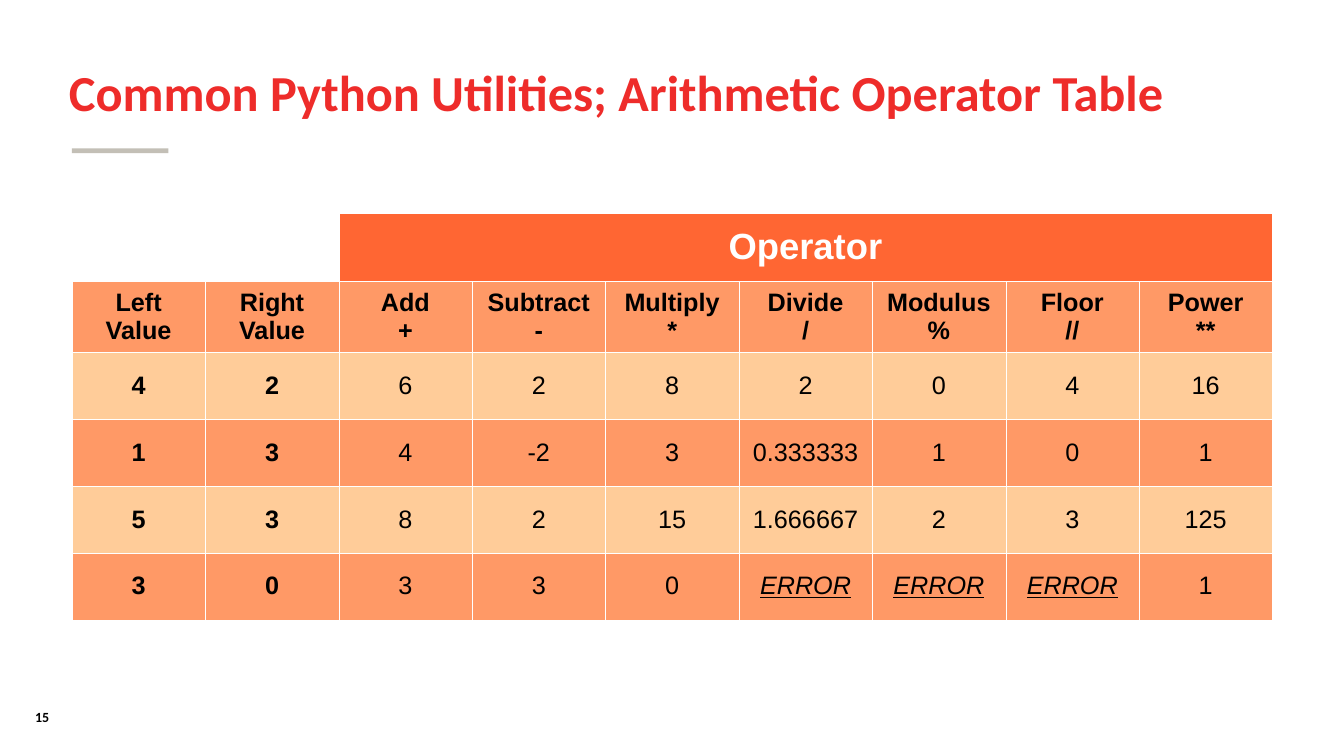
from lxml import etree
from pptx import Presentation
from pptx.dml.color import RGBColor
from pptx.enum.shapes import MSO_SHAPE
from pptx.enum.text import MSO_ANCHOR, PP_ALIGN
from pptx.oxml.ns import qn
from pptx.util import Pt

RECTANGLE = MSO_SHAPE.RECTANGLE
MIDDLE = MSO_ANCHOR.MIDDLE
TOP = MSO_ANCHOR.TOP
CENTER = PP_ALIGN.CENTER

WHITE, BLACK, RED, GREY = "FFFFFF", "000000", "EE2C2A", "C3BFB6"
HEADER, DARK_BAND, LIGHT_BAND = "FF6633", "FF9966", "FFCC99"

COLUMN_HEADS = ["Left\nValue", "Right\nValue", "Add\n+", "Subtract\n-", "Multiply\n*",
                "Divide\n/", "Modulus\n%", "Floor\n//", "Power\n**"]
RESULTS = [
    ["4", "2", "6", "2", "8", "2", "0", "4", "16"],
    ["1", "3", "4", "-2", "3", "0.333333", "1", "0", "1"],
    ["5", "3", "8", "2", "15", "1.666667", "2", "3", "125"],
    ["3", "0", "3", "3", "0", "ERROR", "ERROR", "ERROR", "1"],
]
OPERAND_COLUMNS = 2
HEADER_HEIGHT, ROW_HEIGHT = 49, 47.8
TABLE_WIDTH = 857.5


def color(value):
    return RGBColor.from_string(value)


def write(para, text, fill, **formats):
    """Put text in the paragraph; a newline becomes a line break."""
    para.text = text
    for span in para.runs:
        span.font.color.rgb = color(fill)
        for name, value in formats.items():
            setattr(span.font, name, value)


def add_text(page, frame, text, fill, size, anchor):
    box = page.shapes.add_textbox(*map(Pt, frame))
    box.text_frame.word_wrap = True
    box.text_frame.vertical_anchor = anchor
    para = box.text_frame.paragraphs[0]
    write(para, text, fill, name="Calibri", size=Pt(size), bold=True)
    return para


def add_bar(page, frame, fill):
    bar = page.shapes.add_shape(RECTANGLE, *map(Pt, frame))
    bar.shadow.inherit = False
    bar.fill.solid()
    bar.fill.fore_color.rgb = color(fill)
    bar.line.fill.background()


def paint_cell(cell, fill):
    """Give the cell thin white borders and a solid fill."""
    properties = cell._tc.get_or_add_tcPr()
    for side in ("a:lnL", "a:lnR", "a:lnT", "a:lnB"):
        line = etree.SubElement(properties, qn(side), w=str(Pt(0.06)))
        solid = etree.SubElement(line, qn("a:solidFill"))
        etree.SubElement(solid, qn("a:srgbClr"), val=WHITE)
    cell.fill.solid()
    cell.fill.fore_color.rgb = color(fill)


def fill_cell(cell, text, fill, size=18, **formats):
    cell.vertical_anchor = MIDDLE
    para = cell.text_frame.paragraphs[0]
    para.alignment = CENTER
    write(para, text, fill, name="Arial", size=Pt(size), **formats)


def add_operator_table(page, left, top):
    body = [COLUMN_HEADS] + RESULTS
    columns = len(COLUMN_HEADS)
    height = HEADER_HEIGHT + ROW_HEIGHT * len(body)
    table = page.shapes.add_table(len(body) + 1, columns, Pt(left), Pt(top),
                                  Pt(TABLE_WIDTH), Pt(height)).table
    table.first_row = table.horz_banding = False
    for column in table.columns:
        column.width = Pt(TABLE_WIDTH / columns)
    for index, row in enumerate(table.rows):
        row.height = Pt(ROW_HEIGHT if index else HEADER_HEIGHT)

    for column in range(columns):
        paint_cell(table.cell(0, column), WHITE if column < OPERAND_COLUMNS else HEADER)
    operator = table.cell(0, OPERAND_COLUMNS)
    operator.merge(table.cell(0, columns - 1))
    fill_cell(operator, "Operator", WHITE, size=26, bold=True)

    for index, values in enumerate(body):
        for column, value in enumerate(values):
            cell = table.cell(index + 1, column)
            paint_cell(cell, LIGHT_BAND if index % 2 else DARK_BAND)
            error = value == "ERROR"
            fill_cell(cell, value, BLACK, bold=index == 0 or column < OPERAND_COLUMNS,
                      italic=error, underline=error)


def main():
    deck = Presentation()
    deck.slide_width, deck.slide_height = Pt(960), Pt(540)
    page = deck.slides.add_slide(deck.slide_layouts[6])
    add_text(page, (18, 502.5, 82, 19.5), "15", BLACK, 10, TOP)
    add_bar(page, (51.4, 106, 69, 3.5), GREY)
    title = add_text(page, (42.2, 28.8, 809.3, 77.8),
                     "Common Python Utilities; Arithmetic Operator Table", RED, 36, MIDDLE)
    title.line_spacing = 0.9
    add_operator_table(page, 51.4, 152)
    deck.save("out.pptx")


if __name__ == "__main__":
    main()
